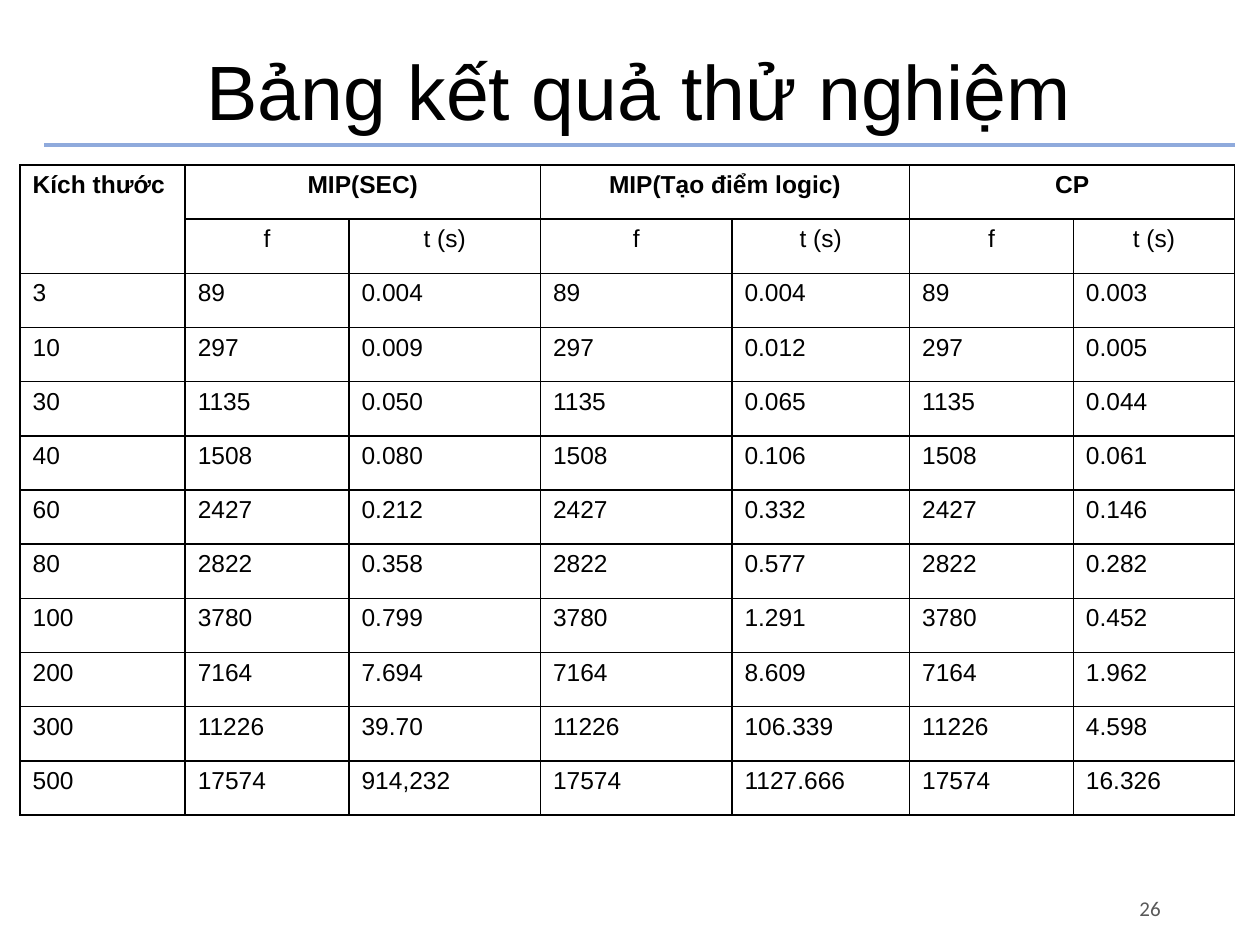
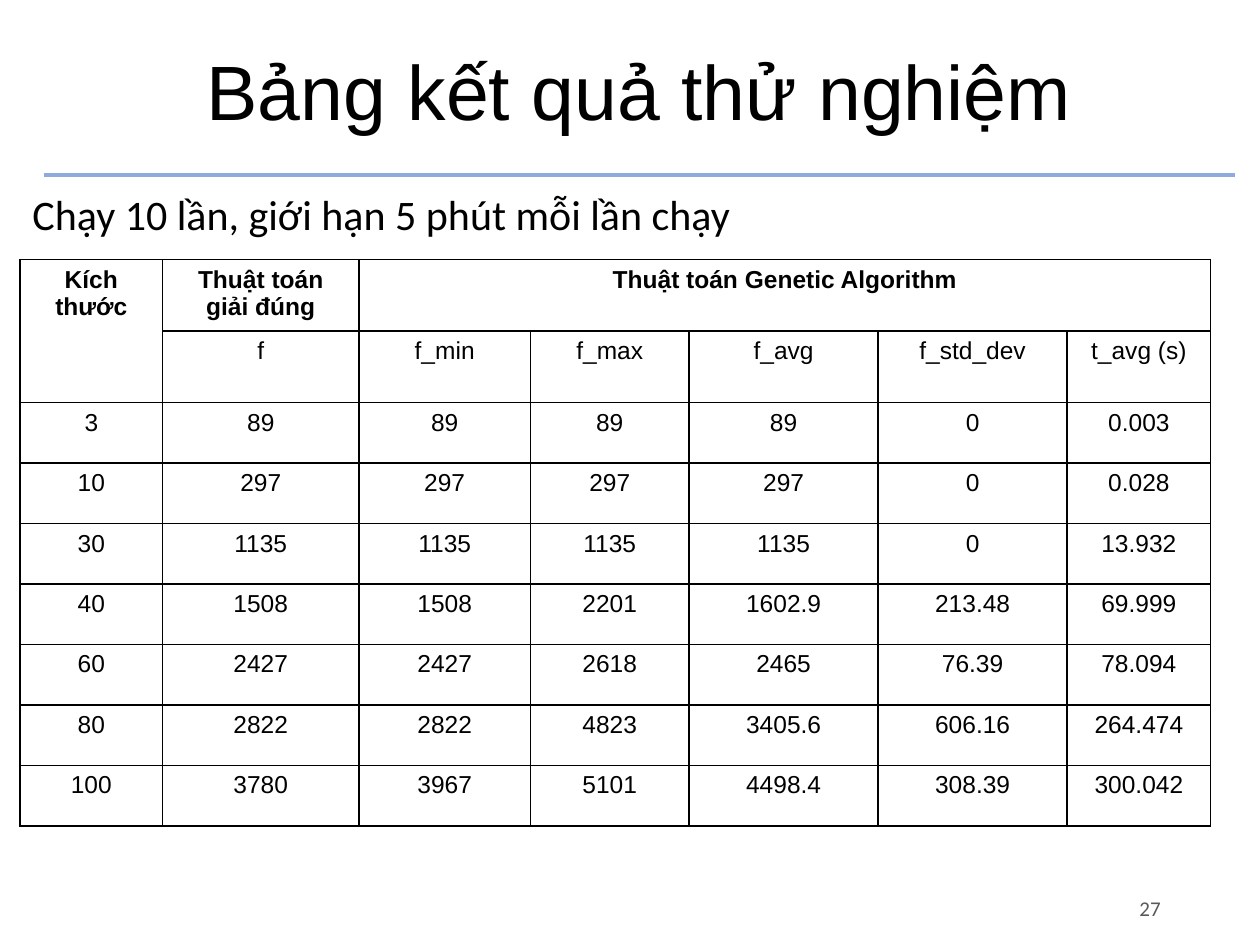
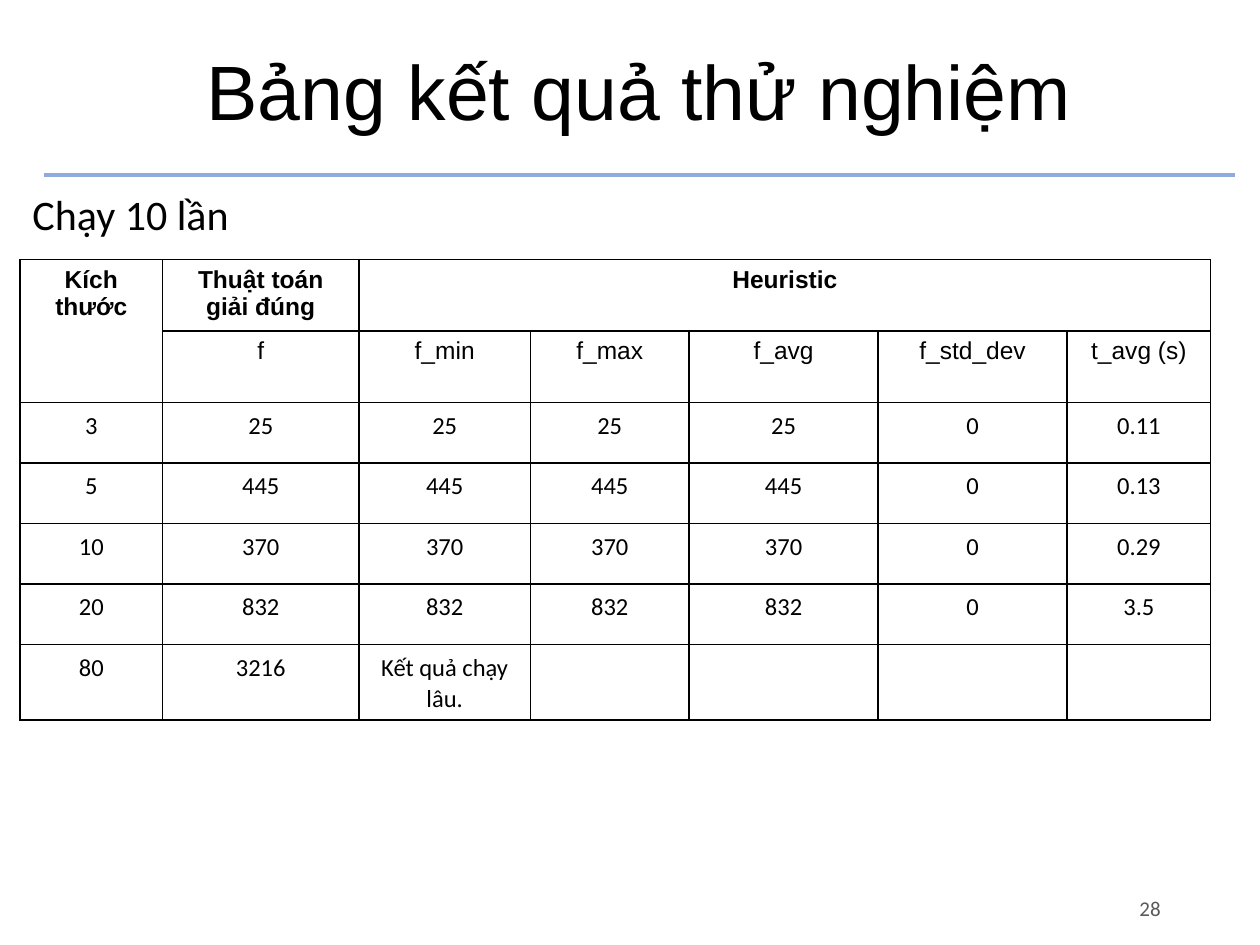
from lxml import etree
from pptx import Presentation
from pptx.dml.color import RGBColor
from pptx.enum.shapes import MSO_CONNECTOR
from pptx.enum.text import MSO_ANCHOR, PP_ALIGN
from pptx.oxml.ns import qn
from pptx.util import Inches, Pt

LEFT, CENTER, RIGHT = PP_ALIGN.LEFT, PP_ALIGN.CENTER, PP_ALIGN.RIGHT
TOP, MIDDLE = MSO_ANCHOR.TOP, MSO_ANCHOR.MIDDLE
STRAIGHT = MSO_CONNECTOR.STRAIGHT

BLACK = RGBColor(0x00, 0x00, 0x00)
GRAY = RGBColor(0x59, 0x59, 0x59)
RULE_BLUE = RGBColor(0x8F, 0xAA, 0xDC)

TITLE = "Bảng kết quả thử nghiệm"
FIRST_NUMBER = 26
TABLE_LEFT = 0.16
RULE_LEFT, RULE_RIGHT = 0.35, 9.8
HEADER_ROWS = 2

RUN_COLUMNS = [1.13, 1.56, 1.36, 1.26, 1.5, 1.5, 1.14]
RUN_MEASURES = ["", "f", "f_min", "f_max", "f_avg", "f_std_dev", "t_avg (s)"]

# Each header group is (text, first column, rows spanned, columns spanned).
SLIDES = [
    {
        "rule_top": 1.15,
        "table_top": 1.31,
        "columns": [1.31, 1.3, 1.52, 1.52, 1.41, 1.3, 1.28],
        "row_heights": [0.43] * 12,
        "groups": [("Kích thước", 0, 2, 1), ("MIP(SEC)", 1, 1, 2),
                   ("MIP(Tạo điểm logic)", 3, 1, 2), ("CP", 5, 1, 2)],
        "measures": ["", "f", "t (s)", "f", "t (s)", "f", "t (s)"],
        "size_align": LEFT,
        "body_format": {"align": LEFT},
        "body": [
            ["3", "89", "0.004", "89", "0.004", "89", "0.003"],
            ["10", "297", "0.009", "297", "0.012", "297", "0.005"],
            ["30", "1135", "0.050", "1135", "0.065", "1135", "0.044"],
            ["40", "1508", "0.080", "1508", "0.106", "1508", "0.061"],
            ["60", "2427", "0.212", "2427", "0.332", "2427", "0.146"],
            ["80", "2822", "0.358", "2822", "0.577", "2822", "0.282"],
            ["100", "3780", "0.799", "3780", "1.291", "3780", "0.452"],
            ["200", "7164", "7.694", "7164", "8.609", "7164", "1.962"],
            ["300", "11226", "39.70", "11226", "106.339", "11226", "4.598"],
            ["500", "17574", "914,232", "17574", "1127.666", "17574", "16.326"],
        ],
    },
    {
        "rule_top": 1.39,
        "note": "Chạy 10 lần, giới hạn 5 phút mỗi lần chạy",
        "table_top": 2.06,
        "columns": RUN_COLUMNS,
        "row_heights": [0.53] * 2 + [0.48] * 7,
        "groups": [("Kích thước", 0, 2, 1), ("Thuật toán giải đúng", 1, 1, 1),
                   ("Thuật toán Genetic Algorithm", 2, 1, 5)],
        "measures": RUN_MEASURES,
        "size_align": CENTER,
        "body_format": {"align": CENTER},
        "body": [
            ["3", "89", "89", "89", "89", "0", "0.003"],
            ["10", "297", "297", "297", "297", "0", "0.028"],
            ["30", "1135", "1135", "1135", "1135", "0", "13.932"],
            ["40", "1508", "1508", "2201", "1602.9", "213.48", "69.999"],
            ["60", "2427", "2427", "2618", "2465", "76.39", "78.094"],
            ["80", "2822", "2822", "4823", "3405.6", "606.16", "264.474"],
            ["100", "3780", "3967", "5101", "4498.4", "308.39", "300.042"],
        ],
    },
    {
        "rule_top": 1.39,
        "note": "Chạy 10 lần",
        "table_top": 2.06,
        "columns": RUN_COLUMNS,
        "row_heights": [0.56] * 2 + [0.48] * 4 + [0.6],
        "groups": [("Kích thước", 0, 2, 1), ("Thuật toán giải đúng", 1, 1, 1),
                   ("Heuristic", 2, 1, 5)],
        "measures": RUN_MEASURES,
        "size_align": CENTER,
        "body_format": {"align": CENTER, "font": "Calibri",
                        "line_spacing": 1.07, "space_after": 8},
        "body": [
            ["3", "25", "25", "25", "25", "0", "0.11"],
            ["5", "445", "445", "445", "445", "0", "0.13"],
            ["10", "370", "370", "370", "370", "0", "0.29"],
            ["20", "832", "832", "832", "832", "0", "3.5"],
            ["80", "3216", "Kết quả chạy lâu.", "", "", "", ""],
        ],
    },
]


def write_text(text_frame, text, size=14, font="Arial", color=BLACK, bold=False,
               align=LEFT, line_spacing=None, space_after=None):
    paragraph = text_frame.paragraphs[0]
    paragraph.alignment = align
    if line_spacing is not None:
        paragraph.line_spacing = line_spacing
    if space_after is not None:
        paragraph.space_after = Pt(space_after)
    run = paragraph.add_run()
    run.text = text
    run.font.size = Pt(size)
    run.font.name = font
    run.font.bold = bold
    run.font.color.rgb = color


def add_text_box(slide, text, left, top, width, height, anchor=TOP, **text_format):
    box = slide.shapes.add_textbox(*map(Inches, (left, top, width, height)))
    box.text_frame.word_wrap = True
    box.text_frame.vertical_anchor = anchor
    write_text(box.text_frame, text, **text_format)


def set_title(slide):
    title = slide.shapes.title
    title.left, title.top = Inches(0.35), Inches(0.13)
    title.width, title.height = Inches(9.45), Inches(1.25)
    title.text_frame.vertical_anchor = MIDDLE
    write_text(title.text_frame, TITLE, size=44, align=CENTER, line_spacing=0.9)


def add_rule(slide, top):
    rule = slide.shapes.add_connector(STRAIGHT, Inches(RULE_LEFT), Inches(top),
                                      Inches(RULE_RIGHT), Inches(top))
    rule.line.color.rgb = RULE_BLUE
    rule.line.width = Pt(2)
    etree.SubElement(rule._element.spPr, qn("a:effectLst"))


def style_cell(cell):
    """Clear the fill and draw a thin black border on all four sides."""
    cell.fill.background()
    properties = cell._tc.get_or_add_tcPr()
    for position, side in enumerate(("a:lnL", "a:lnR", "a:lnT", "a:lnB")):
        border = etree.Element(qn(side), w=str(Pt(1)))
        fill = etree.SubElement(border, qn("a:solidFill"))
        etree.SubElement(fill, qn("a:srgbClr"), val=str(BLACK))
        properties.insert(position, border)


def add_results_table(slide, content):
    columns, heights = content["columns"], content["row_heights"]
    table = slide.shapes.add_table(
        len(heights), len(columns), Inches(TABLE_LEFT), Inches(content["table_top"]),
        Inches(sum(columns)), Inches(sum(heights))).table
    table.first_row = table.horz_banding = False
    for column, width in zip(table.columns, columns):
        column.width = Inches(width)
    for row, height in zip(table.rows, heights):
        row.height = Inches(height)
    for cell in table.iter_cells():
        style_cell(cell)

    for text, column, row_span, column_span in content["groups"]:
        cell = table.cell(0, column)
        if row_span * column_span > 1:
            cell.merge(table.cell(row_span - 1, column + column_span - 1))
        align = content["size_align"] if column == 0 else CENTER
        write_text(cell.text_frame, text, bold=True, align=align)

    rows = [(content["measures"], {"align": CENTER})]
    rows += [(values, content["body_format"]) for values in content["body"]]
    for row, (values, text_format) in enumerate(rows, start=HEADER_ROWS - 1):
        for column, value in enumerate(values):
            if value:
                write_text(table.cell(row, column).text_frame, value, **text_format)


def main():
    presentation = Presentation()
    presentation.slide_width, presentation.slide_height = Inches(10), Inches(7.5)
    title_only = presentation.slide_layouts[5]
    for number, content in enumerate(SLIDES, start=FIRST_NUMBER):
        slide = presentation.slides.add_slide(title_only)
        set_title(slide)
        add_text_box(slide, str(number), 8.06, 7.01, 1.25, 0.4, anchor=MIDDLE,
                     size=12, font="Calibri", color=GRAY, align=RIGHT)
        add_rule(slide, content["rule_top"])
        if "note" in content:
            add_text_box(slide, content["note"], TABLE_LEFT, 1.45, 6.57, 0.5,
                         size=24, font="Calibri")
        add_results_table(slide, content)
    presentation.save("out.pptx")


if __name__ == "__main__":
    main()
